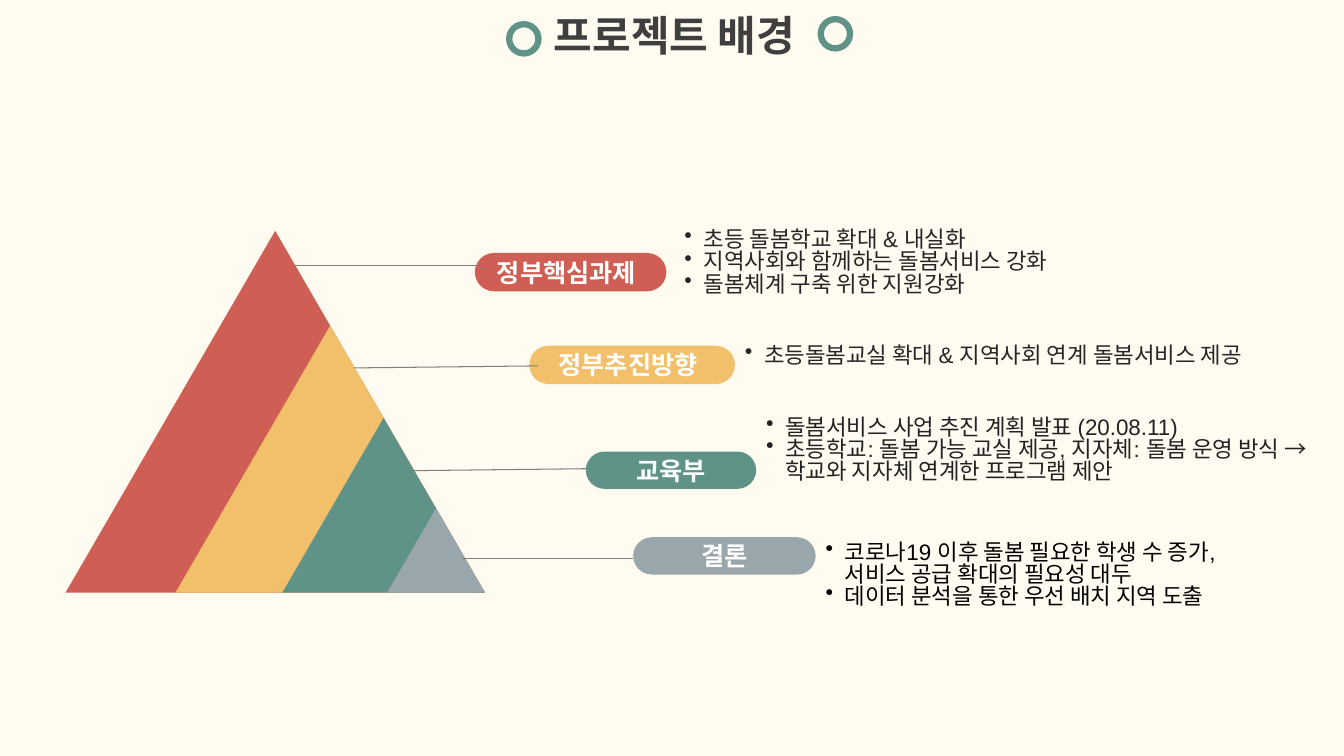
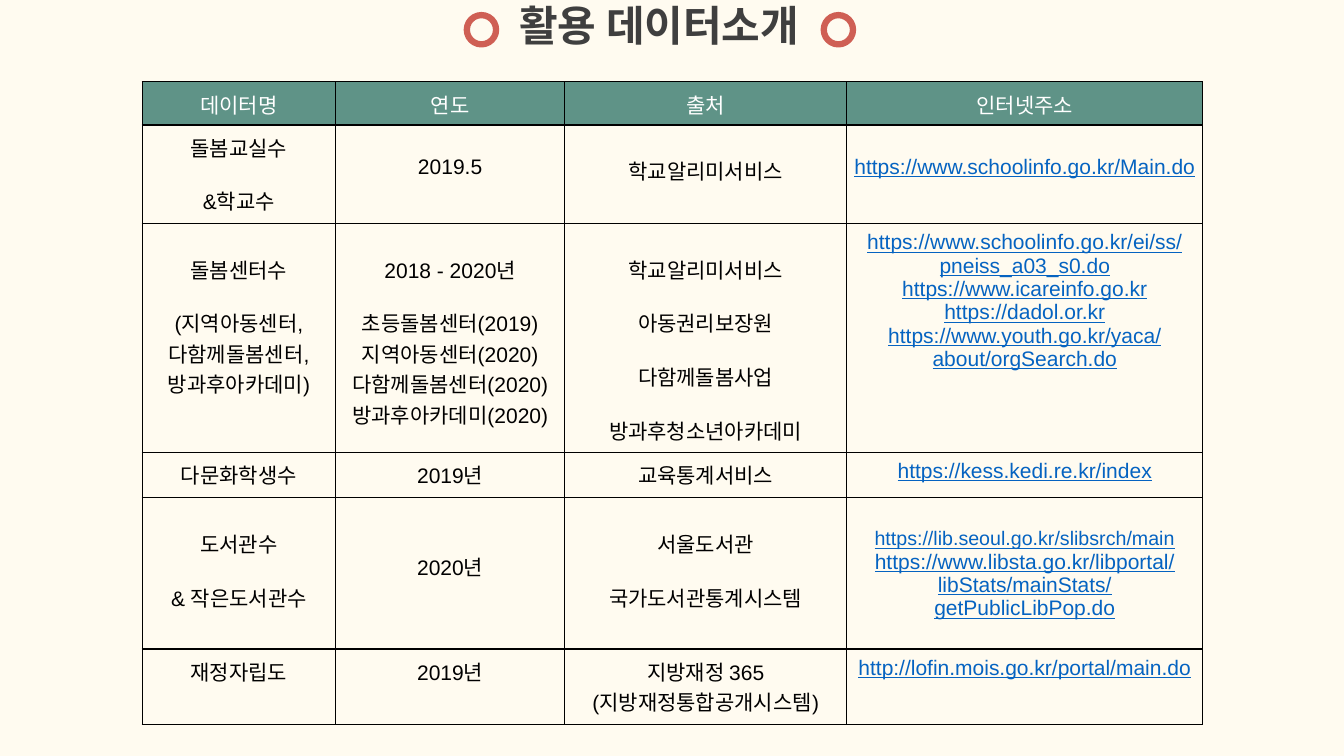
from lxml.etree import SubElement
from pptx import Presentation
from pptx.dml.color import RGBColor
from pptx.enum.shapes import MSO_CONNECTOR, MSO_SHAPE
from pptx.enum.text import MSO_ANCHOR, PP_ALIGN
from pptx.oxml.ns import qn
from pptx.util import Inches, Pt

CREAM, WHITE, BLACK = "FFFBF0", "FFFFFF", "000000"
RED, YELLOW, GREEN, GRAY = "CF5F54", "F2C06B", "5F9387", "99A6AC"
TITLE_COLOR, LINE_COLOR, LINK_COLOR = "3F3F3F", "7F7F7F", "0563C1"

TITLE = {"name": "Arial", "size": Pt(30), "bold": True}
LABEL = {"name": "Arial", "size": Pt(18), "bold": True}
BODY = {"name": "Arial", "size": Pt(16)}
CELL = {"name": "Arial", "size": Pt(15)}
LINK = {**CELL, "underline": True}
SMALL_LINK = {**LINK, "size": Pt(14)}

RING_SIZE = 0.29
PYRAMID_RIGHT, PYRAMID_BOTTOM, PYRAMID_RATIO = 4.81, 5.88, 0.863
PYRAMID_LAYERS = [(0.65, RED), (1.74, YELLOW), (2.8, GREEN), (3.84, GRAY)]
CELL_MARGIN, BLANK_LINE = 0.07, 0.23

# label, colour, pill box, right inset, connector ends, text box, text colour, lines
TOPICS = [
    ("정부핵심과제", RED, (4.71, 2.51, 1.9, 0.38), 0.18, (2.91, 2.63, 4.81, 2.63),
     (6.69, 2.23, 4.7, 0.71), "262626",
     ["• 초등 돌봄학교 확대 & 내실화", "• 지역사회와 함께하는 돌봄서비스 강화",
      "• 돌봄체계 구축 위한 지원강화"]),
    ("정부추진방향", YELLOW, (5.25, 3.43, 2.04, 0.38), 0.18, (3.51, 3.65, 5.34, 3.63),
     (7.29, 3.38, 5.58, 0.52), "262626",
     ["• 초등돌봄교실 확대 & 지역사회 연계 돌봄서비스 제공"]),
    ("교육부", GREEN, (5.81, 4.48, 1.69, 0.37), 0.1, (4.05, 4.67, 5.81, 4.65),
     (7.5, 4.09, 5.79, 0.88), "222222",
     ["• 돌봄서비스 사업 추진 계획 발표 (20.08.11)",
      "• 초등학교: 돌봄 가능 교실 제공, 지자체: 돌봄 운영 방식 → "
      "학교와 지자체 연계한 프로그램 제안"]),
    ("결론", GRAY, (6.28, 5.33, 1.81, 0.37), 0.1, (4.58, 5.54, 6.28, 5.54),
     (8.09, 5.33, 4.54, 0.81), BLACK,
     ["• 코로나19 이후 돌봄 필요한 학생 수 증가,", "서비스 공급 확대의 필요성 대두",
      "• 데이터 분석을 통한 우선 배치 지역 도출"]),
]

COLUMN_WIDTHS = [1.92, 2.27, 2.8, 3.53]
ROW_HEIGHTS = [0.43, 0.98, 2.27, 0.45, 1.5, 0.75]
# An empty line stands for a gap before the next line.
DATA_SOURCES = [
    ["데이터명", "연도", "출처", "인터넷주소"],
    ["돌봄교실수\n\n&학교수", "\n2019.5", "\n학교알리미서비스",
     "\nhttps://www.schoolinfo.go.kr/Main.do"],
    ["\n돌봄센터수\n\n(지역아동센터,\n다함께돌봄센터,\n방과후아카데미)",
     "\n2018 - 2020년\n\n초등돌봄센터(2019)\n지역아동센터(2020)\n"
     "다함께돌봄센터(2020)\n방과후아카데미(2020)",
     "\n학교알리미서비스\n\n아동권리보장원\n\n다함께돌봄사업\n\n방과후청소년아카데미",
     "https://www.schoolinfo.go.kr/ei/ss/pneiss_a03_s0.do\n"
     "https://www.icareinfo.go.kr\nhttps://dadol.or.kr\n"
     "https://www.youth.go.kr/yaca/about/orgSearch.do"],
    ["다문화학생수", "2019년", "교육통계서비스", "https://kess.kedi.re.kr/index"],
    ["\n도서관수\n\n& 작은도서관수", "\n\n2020년", "\n서울도서관\n\n국가도서관통계시스템",
     "\nhttps://lib.seoul.go.kr/slibsrch/main\n"
     "https://www.libsta.go.kr/libportal/libStats/mainStats/getPublicLibPop.do"],
    ["재정자립도", "2019년", "지방재정 365\n(지방재정통합공개시스템)",
     "http://lofin.mois.go.kr/portal/main.do"],
]
SMALL_LINKS = {"https://lib.seoul.go.kr/slibsrch/main"}


def color(hex_string):
    return RGBColor.from_string(hex_string)


def inches(values):
    return [Inches(value) for value in values]


def set_attributes(target, values):
    for name, value in values.items():
        setattr(target, name, value)


def write(paragraph, text, text_format, text_color, **layout):
    """Add one formatted run and set the paragraph's layout."""
    run = paragraph.add_run()
    run.text = text
    set_attributes(run.font, text_format)
    run.font.color.rgb = color(text_color)
    set_attributes(paragraph, layout)


def paragraphs(frame, count):
    """Return the frame's paragraphs, extended to the wanted count."""
    while len(frame.paragraphs) < count:
        frame.add_paragraph()
    return frame.paragraphs


def add_slide(presentation):
    slide = presentation.slides.add_slide(presentation.slide_layouts[6])
    slide.background.fill.solid()
    slide.background.fill.fore_color.rgb = color(CREAM)
    return slide


def add_filled_shape(shapes, kind, box, fill):
    shape = shapes.add_shape(kind, *inches(box))
    shape.shadow.inherit = False
    shape.fill.solid()
    shape.fill.fore_color.rgb = color(fill)
    shape.line.fill.background()
    return shape


def add_ring(slide, left, top, ring_color):
    ring = slide.shapes.add_shape(MSO_SHAPE.OVAL, *inches((left, top, RING_SIZE, RING_SIZE)))
    ring.shadow.inherit = False
    ring.fill.background()
    ring.line.color.rgb = color(ring_color)
    ring.line.width = Pt(4.5)


def add_text_frame(slide, box):
    frame = slide.shapes.add_textbox(*inches(box)).text_frame
    frame.word_wrap = True
    return frame


def add_title(slide, text, box, ring_color, ring_places):
    """Add the slide title with a ring on either side."""
    frame = add_text_frame(slide, box)
    write(frame.paragraphs[0], text, TITLE, TITLE_COLOR,
          alignment=PP_ALIGN.CENTER, line_spacing=0.9)
    for left, top in ring_places:
        add_ring(slide, left, top, ring_color)


def add_pyramid(slide):
    group = slide.shapes.add_group_shape()
    for left, fill in PYRAMID_LAYERS:
        width = PYRAMID_RIGHT - left
        height = width * PYRAMID_RATIO
        add_filled_shape(group.shapes, MSO_SHAPE.ISOSCELES_TRIANGLE,
                         (left, PYRAMID_BOTTOM - height, width, height), fill)


def add_pill(slide, text, box, fill, right_inset):
    pill = add_filled_shape(slide.shapes, MSO_SHAPE.ROUNDED_RECTANGLE, box, fill)
    pill.adjustments[0] = 0.5
    frame = pill.text_frame
    set_attributes(frame, {"margin_right": Inches(right_inset),
                           "vertical_anchor": MSO_ANCHOR.MIDDLE})
    write(frame.paragraphs[0], text, LABEL, WHITE, alignment=PP_ALIGN.CENTER)


def add_line(slide, ends):
    line = slide.shapes.add_connector(MSO_CONNECTOR.STRAIGHT, *inches(ends))
    line.line.color.rgb = color(LINE_COLOR)
    line.line.width = Pt(0.75)
    SubElement(line._element.spPr, qn("a:effectLst"))


def add_bullets(slide, box, lines, text_color):
    """Write the lines with a hanging indent; those led by • get a bullet."""
    frame = add_text_frame(slide, box)
    for paragraph, line in zip(paragraphs(frame, len(lines)), lines):
        write(paragraph, line.removeprefix("• "), BODY, text_color, line_spacing=0.83)
        properties = paragraph._p.get_or_add_pPr()
        properties.set("marL", str(Inches(0.19)))
        if line.startswith("•"):
            properties.set("indent", str(Inches(-0.19)))
            SubElement(properties, qn("a:buChar"), char="•")


def add_borders(cell):
    properties = cell._tc.get_or_add_tcPr()
    for side in ("a:lnL", "a:lnR", "a:lnT", "a:lnB"):
        border = SubElement(properties, qn(side), w=str(Pt(1)))
        fill = SubElement(border, qn("a:solidFill"))
        SubElement(fill, qn("a:srgbClr"), val=BLACK)


def fill_cell(cell, text, is_header):
    add_borders(cell)
    if is_header:
        cell.fill.solid()
        cell.fill.fore_color.rgb = color(GREEN)
    else:
        cell.fill.background()
    body = text.lstrip("\n")
    top = CELL_MARGIN + BLANK_LINE * (len(text) - len(body))
    margins = inches((CELL_MARGIN, CELL_MARGIN, top, CELL_MARGIN))
    names = ("margin_left", "margin_right", "margin_top", "margin_bottom")
    set_attributes(cell, dict(zip(names, margins)))
    lines = [(line, block > 0 and index == 0)
             for block, part in enumerate(body.split("\n\n"))
             for index, line in enumerate(part.split("\n"))]
    for paragraph, (line, has_gap) in zip(paragraphs(cell.text_frame, len(lines)), lines):
        text_format, text_color = CELL, WHITE if is_header else BLACK
        if line.startswith("http"):
            text_format = SMALL_LINK if line in SMALL_LINKS else LINK
            text_color = LINK_COLOR
        write(paragraph, line, text_format, text_color, alignment=PP_ALIGN.CENTER,
              space_before=Inches(BLANK_LINE if has_gap else 0))


def add_data_table(slide, left, top):
    box = (left, top, sum(COLUMN_WIDTHS), sum(ROW_HEIGHTS))
    table = slide.shapes.add_table(len(ROW_HEIGHTS), len(COLUMN_WIDTHS), *inches(box)).table
    set_attributes(table, {"first_row": False, "horz_banding": False})
    for column, width in zip(table.columns, COLUMN_WIDTHS):
        column.width = Inches(width)
    for index, (row, height, texts) in enumerate(zip(table.rows, ROW_HEIGHTS, DATA_SOURCES)):
        row.height = Inches(height)
        for cell, text in zip(row.cells, texts):
            fill_cell(cell, text, is_header=index == 0)


def build_background_slide(presentation):
    slide = add_slide(presentation)
    add_pyramid(slide)
    for label, fill, pill_box, right_inset, ends, text_box, text_color, lines in TOPICS:
        add_pill(slide, label, pill_box, fill, right_inset)
        add_line(slide, ends)
        add_bullets(slide, text_box, lines, text_color)
    add_title(slide, "프로젝트 배경", (5.05, 0.1, 3.28, 0.38), GREEN,
              [(5.05, 0.24), (8.14, 0.19)])


def build_data_slide(presentation):
    slide = add_slide(presentation)
    add_title(slide, "활용 데이터소개", (4.91, 0, 3.26, 0.44), RED,
              [(4.63, 0.15), (8.17, 0.15)])
    add_data_table(slide, 1.41, 0.81)


def main():
    presentation = Presentation()
    presentation.slide_width, presentation.slide_height = inches((13.33, 7.5))
    build_background_slide(presentation)
    build_data_slide(presentation)
    presentation.save("out.pptx")


if __name__ == "__main__":
    main()
